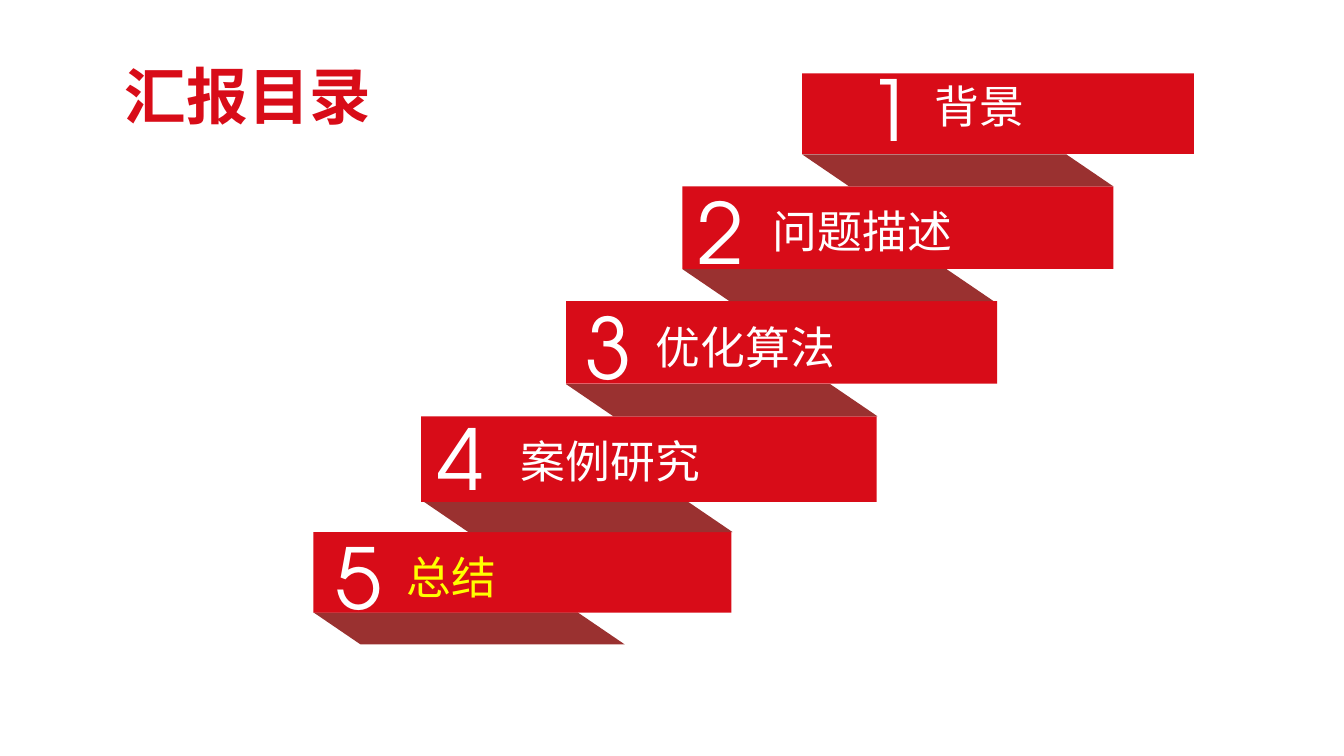
from dataclasses import dataclass

from pptx import Presentation
from pptx.dml.color import RGBColor
from pptx.enum import shapes, text
from pptx.util import Cm, Pt

FONT = "TeX Gyre Adventor"
COLORS = {
    "ribbon": "D80C18",
    "fold": "9A3130",
    "plain": "FFFFFF",
    "current": "FFFF00",
}
FOLD_WIDTH, FOLD_HEIGHT, FOLD_SLANT = 7.85, 0.81, 1.19
LAST_FOLD_BOTTOM = 16.24


@dataclass
class Box:
    left: float
    top: float
    width: float
    height: float

    def lengths(self):
        return Cm(self.left), Cm(self.top), Cm(self.width), Cm(self.height)


@dataclass
class Step:
    label: str
    box: Box
    number_shift: tuple
    label_shift: tuple
    color: str = "plain"


STEPS = [
    Step("背景", Box(20.22, 1.85, 9.88, 2.03), (1.4, -0.53), (3.1, 0)),
    Step("问题描述", Box(17.2, 4.7, 10.87, 2.08), (0.14, -0.28), (2.03, 0.3)),
    Step("优化算法", Box(14.27, 7.59, 10.87, 2.08), (0.23, -0.27), (2.01, 0.33)),
    Step("案例研究", Box(10.62, 10.49, 11.48, 2.16), (0.15, -0.38), (2.26, 0.31)),
    Step("总结", Box(7.9, 13.41, 10.54, 2.03), (0.3, -0.3), (2.11, 0.31), "current"),
]


def paint(shape, color):
    shape.shadow.inherit = False
    shape.fill.solid()
    shape.fill.fore_color.rgb = RGBColor.from_string(COLORS[color])
    shape.line.fill.background()


def write(shape, content, size, color, bold=False):
    frame = shape.text_frame
    frame.text = content
    font = frame.paragraphs[0].runs[0].font
    font.name, font.size, font.bold = FONT, Pt(size), bold
    font.color.rgb = RGBColor.from_string(COLORS[color])


def add_title(page, box):
    title = page.shapes.title
    title.left, title.top, title.width, title.height = box.lengths()
    write(title, "汇报目录", 44, "ribbon", True)
    frame = title.text_frame
    frame.auto_size = text.MSO_AUTO_SIZE.NONE
    frame.word_wrap = False
    frame.vertical_anchor = text.MSO_ANCHOR.TOP
    frame.paragraphs[0].alignment = text.PP_ALIGN.RIGHT


def add_text(page, box, content, size, color):
    holder = page.shapes.add_textbox(*box.lengths())
    holder.text_frame.word_wrap = True
    write(holder, content, size, color)


def add_fold(page, box):
    right, bottom = box.left + box.width, box.top + box.height
    corners = [
        (box.left, box.top),
        (right - FOLD_SLANT, box.top),
        (right, bottom),
        (box.left + FOLD_SLANT, bottom),
    ]
    start, *rest = [(Cm(x), Cm(y)) for x, y in corners]
    builder = page.shapes.build_freeform(*start)
    builder.add_line_segments(rest, close=True)
    paint(builder.convert_to_shape(), "fold")


def add_step(page, number, step, fold_bottom):
    box = step.box
    add_fold(page, Box(box.left, fold_bottom - FOLD_HEIGHT, FOLD_WIDTH, FOLD_HEIGHT))
    ribbon = page.shapes.add_shape(shapes.MSO_SHAPE.RECTANGLE, *box.lengths())
    paint(ribbon, "ribbon")
    shift_x, shift_y = step.number_shift
    number_box = Box(box.left + shift_x, box.top + shift_y, 1.75, 2.82)
    add_text(page, number_box, str(number), 60, "plain")
    shift_x, shift_y = step.label_shift
    label_box = Box(box.left + shift_x, box.top + shift_y, box.width - shift_x, 1.63)
    add_text(page, label_box, step.label, 32, step.color)


def main():
    deck = Presentation()
    deck.slide_width, deck.slide_height = Cm(33.88), Cm(19.05)
    page = deck.slides.add_slide(deck.slide_layouts[5])
    add_title(page, Box(2.84, 1.32, 6.78, 2.13))
    fold_bottom = LAST_FOLD_BOTTOM
    for number, step in reversed(list(enumerate(STEPS, 1))):
        add_step(page, number, step, fold_bottom)
        fold_bottom = step.box.top
    deck.save("out.pptx")


if __name__ == "__main__":
    main()
